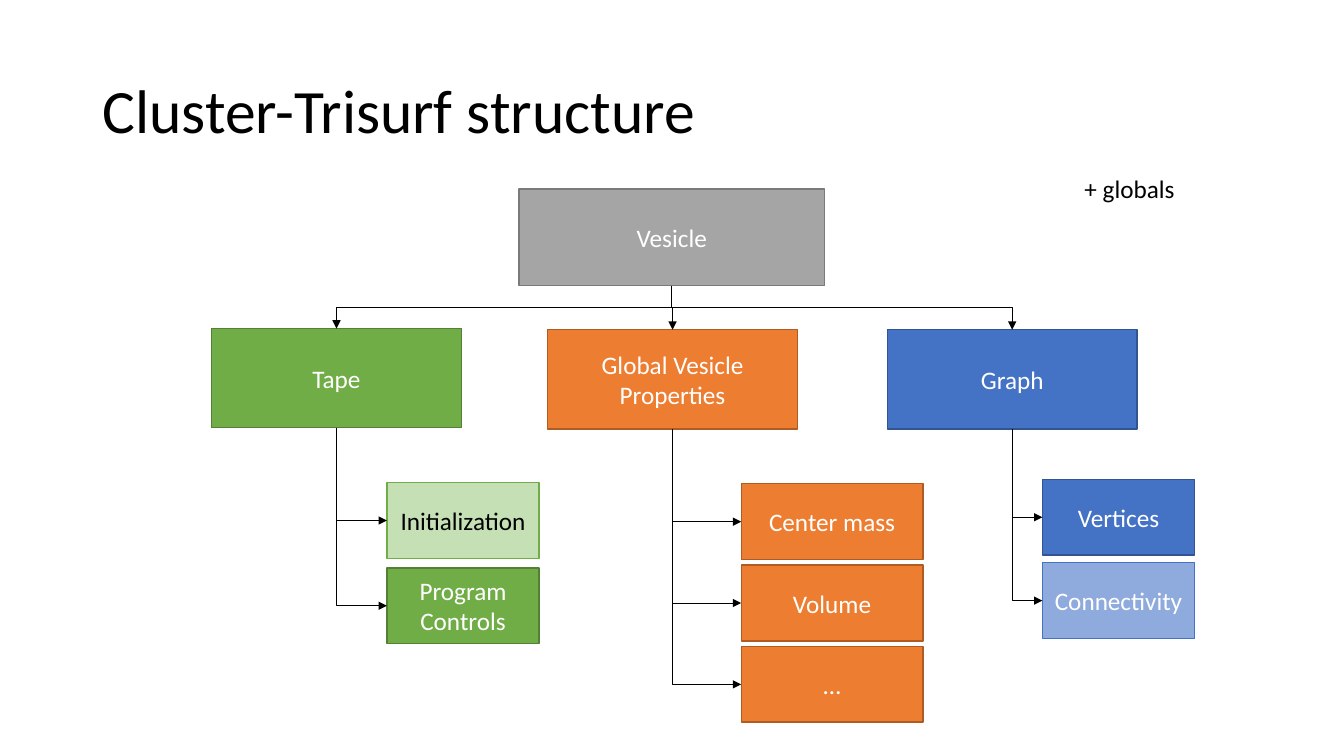
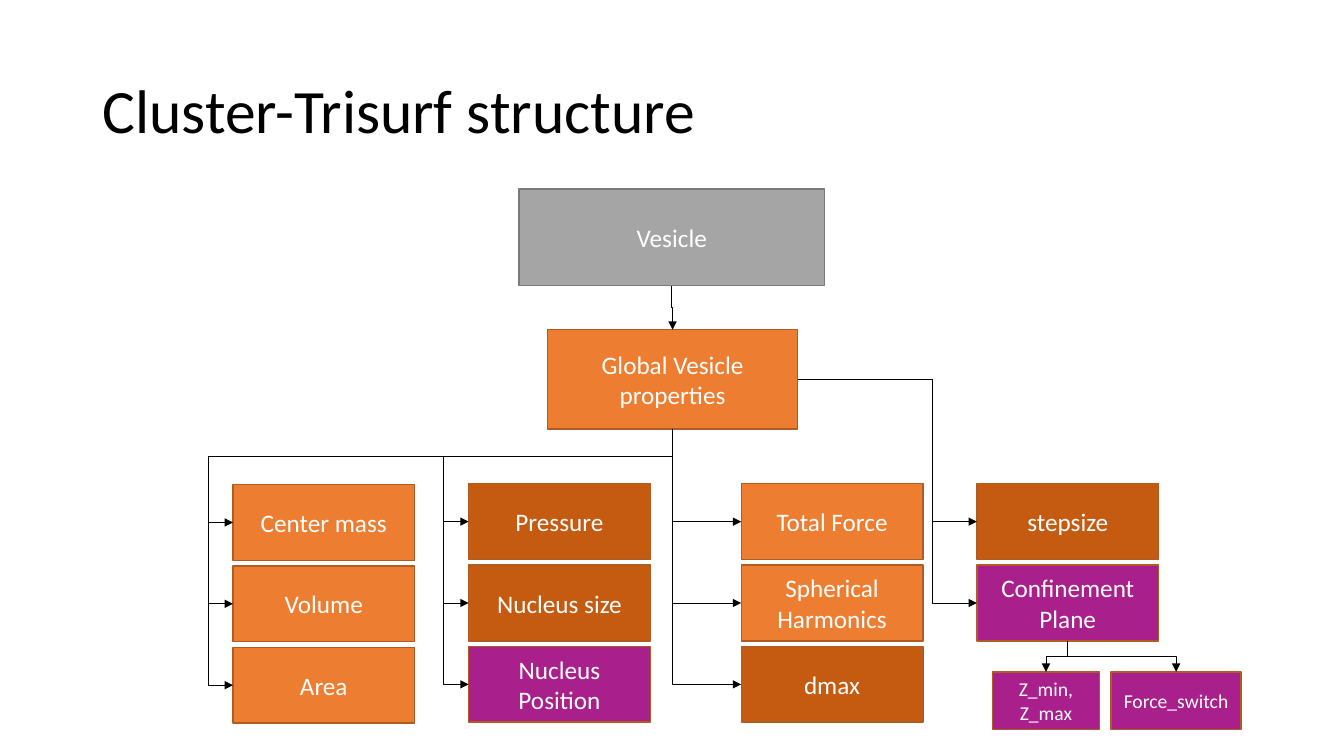
from lxml import etree
from pptx import Presentation
from pptx.dml.color import RGBColor
from pptx.enum import shapes, text
from pptx.oxml import ns
from pptx.util import Cm, Pt

FONT = "Calibri"
BLACK, WHITE = "000000", "FFFFFF"
STYLES = {
    "gray": ("A5A5A5", "7A7A7A", WHITE),
    "green": ("70AD47", "538035", WHITE),
    "light green": ("C5E0B4", "70AD47", BLACK),
    "orange": ("ED7D31", "AF5C24", WHITE),
    "dark orange": ("C55A11", "AF5C24", WHITE),
    "purple": ("A91F8B", "AF5C24", WHITE),
    "blue": ("4472C4", "325491", WHITE),
    "light blue": ("8FAADC", "4472C4", WHITE),
}
TOP, LEFT, BOTTOM, RIGHT = range(4)
BRANCH_X, BRANCH_TOP, BRANCH_W, BRANCH_H = 16.95, 8.31, 6.3, 2.5
LEAF_TOP, LEAF_H = 12.19, 1.91
LEAF_W, SMALL_LEAF_W = 4.58, 3.84
BUS_Y, RAIL_GAP = Cm(11.5), Cm(0.63)


def rgb(value):
    return RGBColor.from_string(value)


def style_text(p, size, color, align):
    p.font.name = FONT
    p.font.size = Pt(size)
    p.font.color.rgb = rgb(color)
    p.alignment = align


def add_slide(prs, title):
    s = prs.slides.add_slide(prs.slide_layouts[5])
    sp = s.shapes.title
    sp.left, sp.top, sp.width, sp.height = Cm(2.33), Cm(1.01), Cm(29.21), Cm(3.68)
    tf = sp.text_frame
    tf.text = title
    tf.vertical_anchor = text.MSO_ANCHOR.MIDDLE
    p = tf.paragraphs[0]
    p.line_spacing = 0.9
    style_text(p, 44, BLACK, text.PP_ALIGN.LEFT)
    return s


def add_box(s, label, style, left, top, width, height, size=18):
    fill, line, color = STYLES[style]
    sp = s.shapes.add_shape(shapes.MSO_SHAPE.RECTANGLE,
                            Cm(left), Cm(top), Cm(width), Cm(height))
    sp.shadow.inherit = False
    sp.fill.solid()
    sp.fill.fore_color.rgb = rgb(fill)
    sp.line.color.rgb = rgb(line)
    sp.line.width = Pt(1)
    tf = sp.text_frame
    tf.text = label
    tf.vertical_anchor = text.MSO_ANCHOR.MIDDLE
    style_text(tf.paragraphs[0], size, color, text.PP_ALIGN.CENTER)
    return sp


def side_point(sp, side):
    x = sp.left + {LEFT: 0, RIGHT: sp.width}.get(side, sp.width // 2)
    y = sp.top + {TOP: 0, BOTTOM: sp.height}.get(side, sp.height // 2)
    return x, y


def add_elbow(s, parent, start, child, end, bends, adjusts=()):
    (x1, y1), (x2, y2) = side_point(parent, start), side_point(child, end)
    cn = s.shapes.add_connector(shapes.MSO_CONNECTOR.ELBOW, x1, y1, x2, y2)
    cn.line.color.rgb = rgb(BLACK)
    cn.line.width = Pt(0.5)
    cn.begin_connect(parent, start)
    cn.end_connect(child, end)
    etree.SubElement(cn.line._get_or_add_ln(), ns.qn("a:tailEnd"), type="triangle")
    spPr = cn._element.spPr
    etree.SubElement(spPr, ns.qn("a:effectLst"))
    if start == BOTTOM:
        dx, dy = abs(x2 - x1), y2 - y1
        cn.left, cn.top = (x1 + x2 - dy) // 2, (y1 + y2 - dx) // 2
        cn.width, cn.height = dy, dx
        xfrm = spPr.find(ns.qn("a:xfrm"))
        xfrm.set("rot", "16200000" if x2 >= x1 else "5400000")
        xfrm.set("flipH", "1" if x2 >= x1 else "0")
    geometry = spPr.find(ns.qn("a:prstGeom"))
    geometry.set("prst", f"bentConnector{bends + 1}")
    guides = geometry.find(ns.qn("a:avLst"))
    for i, part in enumerate(adjusts, 1):
        etree.SubElement(guides, ns.qn("a:gd"), name=f"adj{i}",
                         fmla=f"val {round(part * 100000)}")


def add_vesicle(s):
    return add_box(s, "Vesicle", "gray", 13.08, 4.76, 7.7, 2.44)


def add_branch(s, label, style, middle, top=BRANCH_TOP):
    return add_box(s, label, style, middle - BRANCH_W / 2, top, BRANCH_W, BRANCH_H)


def add_fan(s, parent, children):
    for sp in children:
        add_elbow(s, parent, BOTTOM, sp, TOP, 2, [0.5])


def add_leaves(s, leaves, left, top=LEAF_TOP, width=LEAF_W, pitch=2.05):
    return [add_box(s, label, style, left, top + i * pitch, width, LEAF_H)
            for i, (label, style) in enumerate(leaves)]


def hang_below(s, parent, leaves):
    for sp in leaves:
        add_elbow(s, parent, BOTTOM, sp, LEFT, 1)


def hang_left(s, parent, leaves):
    x1, y1 = side_point(parent, BOTTOM)
    for sp in leaves:
        x2, y2 = side_point(sp, LEFT)
        add_elbow(s, parent, BOTTOM, sp, LEFT, 3,
                  [(BUS_Y - y1) / (y2 - y1), 1 + RAIL_GAP / (x1 - x2)])


def hang_right(s, parent, leaves):
    for sp in leaves:
        add_elbow(s, parent, RIGHT, sp, LEFT, 2, [0.75])


def add_note(s, label, left, top, width, height):
    sp = s.shapes.add_textbox(Cm(left), Cm(top), Cm(width), Cm(height))
    tf = sp.text_frame
    tf.word_wrap = True
    tf.text = label
    style_text(tf.paragraphs[0], 18, BLACK, text.PP_ALIGN.LEFT)


def build_overview(prs):
    s = add_slide(prs, "Cluster-Trisurf structure")
    vesicle = add_vesicle(s)
    tape = add_branch(s, "Tape", "green", 8.48, 8.28)
    properties = add_branch(s, "Global Vesicle Properties", "orange", BRANCH_X)
    graph = add_branch(s, "Graph", "blue", 25.51)
    add_fan(s, vesicle, [tape, properties, graph])
    hang_below(s, tape, add_leaves(
        s, [("Initialization", "light green"), ("Program Controls", "green")],
        9.75, 12.16, SMALL_LEAF_W, 2.15))
    hang_below(s, properties, add_leaves(
        s, [(label, "orange") for label in ("Center mass", "Volume", "…")], 18.68))
    hang_below(s, graph, add_leaves(
        s, [("Vertices", "blue"), ("Connectivity", "light blue")],
        26.27, 12.08, SMALL_LEAF_W, 2.1))
    add_note(s, "+ globals", 27.08, 4.24, 5.1, 1.02)


def build_properties(prs):
    s = add_slide(prs, "Cluster-Trisurf structure")
    vesicle = add_vesicle(s)
    properties = add_branch(s, "Global Vesicle properties", "orange", BRANCH_X)
    add_fan(s, vesicle, [properties])
    hang_left(s, properties, add_leaves(
        s, [(label, "orange") for label in ("Center mass", "Volume", "Area")], 5.87, 12.21))
    hang_left(s, properties, add_leaves(
        s, [("Pressure", "dark orange"), ("Nucleus size", "dark orange"),
            ("Nucleus Position", "purple")], 11.81))
    hang_below(s, properties, add_leaves(
        s, [("Total Force", "orange"), ("Spherical Harmonics", "orange"),
            ("dmax", "dark orange")], 18.68))
    steps = add_leaves(
        s, [("stepsize", "dark orange"), ("Confinement Plane", "purple")], 24.62)
    hang_right(s, properties, steps)
    limits = [add_box(s, label, "purple", left, 16.93, width, 1.45, 14)
              for label, left, width in (("Z_min, Z_max", 25.01, 2.7),
                                         ("Force_switch", 28, 3.28))]
    add_fan(s, steps[-1], limits)


def main():
    prs = Presentation()
    prs.slide_width, prs.slide_height = Cm(33.87), Cm(19.05)
    build_overview(prs)
    build_properties(prs)
    prs.save("out.pptx")


if __name__ == "__main__":
    main()
